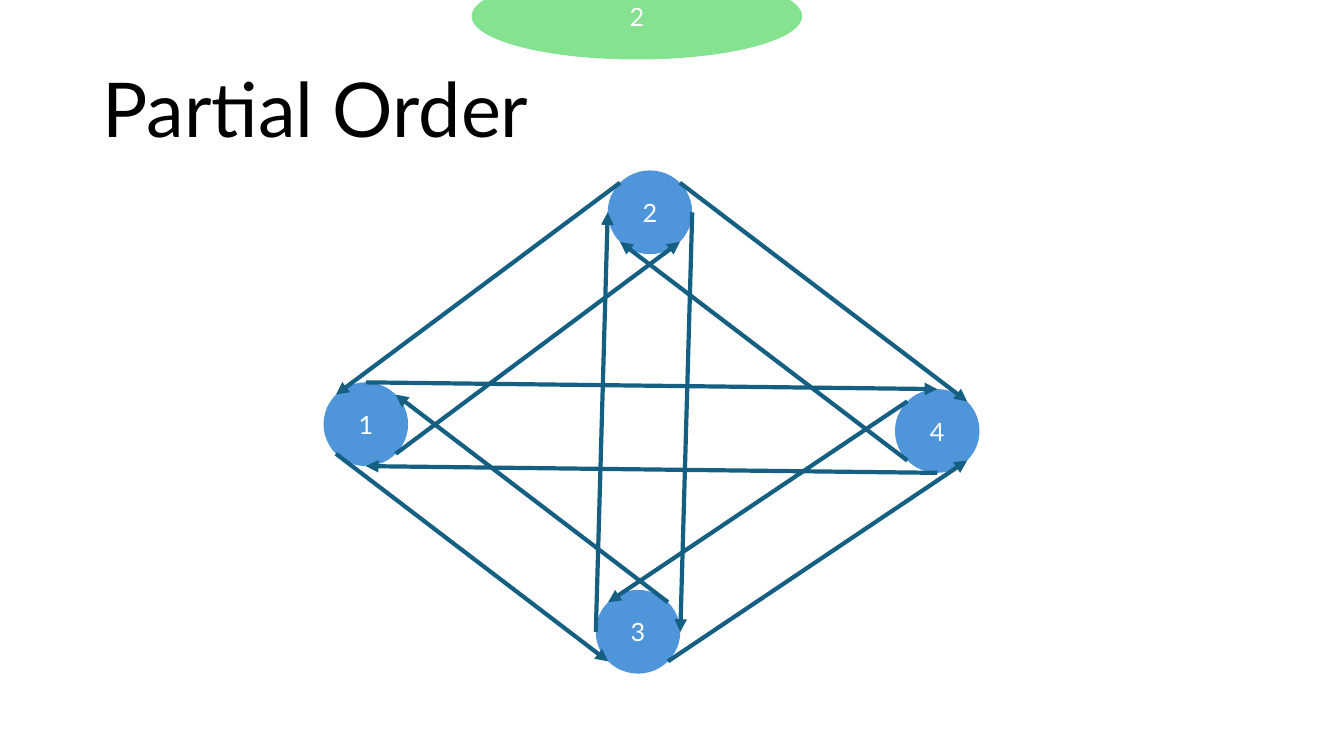
from dataclasses import dataclass
from math import cos, radians, sin

from lxml import etree
from pptx import Presentation
from pptx import util as u
from pptx.dml.color import RGBColor
from pptx.enum import shapes, text
from pptx.oxml.ns import qn


@dataclass(frozen=True)
class Theme:
    node: str = "4E95D9"
    oval: str = "84E291"
    arrow: str = "156082"
    title: str = "000000"
    label: str = "FFFFFF"
    font: str = "Lato"
    big: int = 54
    small: int = 18
    line: int = 3


@dataclass(frozen=True)
class Node:
    """An ellipse given by its centre and size in centimetres."""
    label: str
    x: float
    y: float
    fill: str
    w: float = 2.13
    h: float = 2.11


@dataclass(frozen=True)
class Edge:
    """An arrow that leaves and enters its nodes on the same side."""
    start: str
    end: str
    side: str


THEME = Theme()
ANGLES = {side: 45 * i for i, side in enumerate("E SE S SW W NW N NE".split())}
NODES = {n.label: n for n in (
    Node("1", 9.22, 10.69, THEME.node),
    Node("3", 16.08, 15.92, THEME.node),
    Node("4", 23.62, 10.86, THEME.node),
    Node("2", 16.38, 5.35, THEME.node),
)}
EDGES = [
    Edge("1", "2", "SE"), Edge("3", "4", "SE"),
    Edge("4", "3", "NW"), Edge("2", "1", "NW"),
    Edge("2", "4", "NE"), Edge("1", "3", "SW"),
    Edge("4", "2", "SW"), Edge("3", "1", "NE"),
    Edge("4", "1", "S"), Edge("1", "4", "N"),
    Edge("2", "3", "E"), Edge("3", "2", "W"),
]
OVAL = Node("2", 16.05, 0.41, THEME.oval, 8.33, 2.18)


def assign(item, values: dict) -> None:
    for key, value in values.items():
        setattr(item, key, value)


def write(shape, words: str, size: int, color: str, align, spacing: float = 1.0) -> None:
    frame = shape.text_frame
    assign(frame, {"word_wrap": True, "vertical_anchor": text.MSO_ANCHOR.MIDDLE})
    par = frame.paragraphs[0]
    assign(par, {"alignment": align, "line_spacing": spacing})
    run = par.add_run()
    run.text = words
    assign(run.font, {"name": THEME.font, "size": u.Pt(size)})
    run.font.color.rgb = RGBColor.from_string(color)


def add_node(slide, node: Node) -> None:
    shape = slide.shapes.add_shape(
        shapes.MSO_SHAPE.OVAL, u.Cm(node.x - node.w / 2), u.Cm(node.y - node.h / 2),
        u.Cm(node.w), u.Cm(node.h))
    shape.shadow.inherit = False
    shape.fill.solid()
    shape.fill.fore_color.rgb = RGBColor.from_string(node.fill)
    shape.line.fill.background()
    write(shape, node.label, THEME.small, THEME.label, text.PP_ALIGN.CENTER)


def rim(node: Node, side: str) -> tuple[u.Length, u.Length]:
    """Return the point of the node's outline on the given compass side."""
    turn = radians(ANGLES[side])
    return (u.Cm(node.x + node.w / 2 * cos(turn)),
            u.Cm(node.y + node.h / 2 * sin(turn)))


def add_edge(slide, edge: Edge) -> None:
    arrow = slide.shapes.add_connector(
        shapes.MSO_CONNECTOR.STRAIGHT,
        *rim(NODES[edge.start], edge.side), *rim(NODES[edge.end], edge.side))
    arrow.line.width = u.Pt(THEME.line)
    arrow.line.color.rgb = RGBColor.from_string(THEME.arrow)
    props = arrow.line._get_or_add_ln()
    etree.SubElement(props, qn("a:tailEnd"), type="triangle")
    etree.SubElement(props.getparent(), qn("a:effectLst"))


def main() -> None:
    deck = Presentation()
    assign(deck, {"slide_width": u.Cm(33.87), "slide_height": u.Cm(19.05)})
    slide = deck.slides.add_slide(deck.slide_layouts[6])
    title = slide.shapes.add_textbox(u.Cm(2.33), u.Cm(1.01), u.Cm(29.21), u.Cm(3.68))
    write(title, "Partial Order", THEME.big, THEME.title, text.PP_ALIGN.LEFT, 0.9)
    for node in NODES.values():
        add_node(slide, node)
    for edge in EDGES:
        add_edge(slide, edge)
    add_node(slide, OVAL)
    deck.save("out.pptx")


if __name__ == "__main__":
    main()
